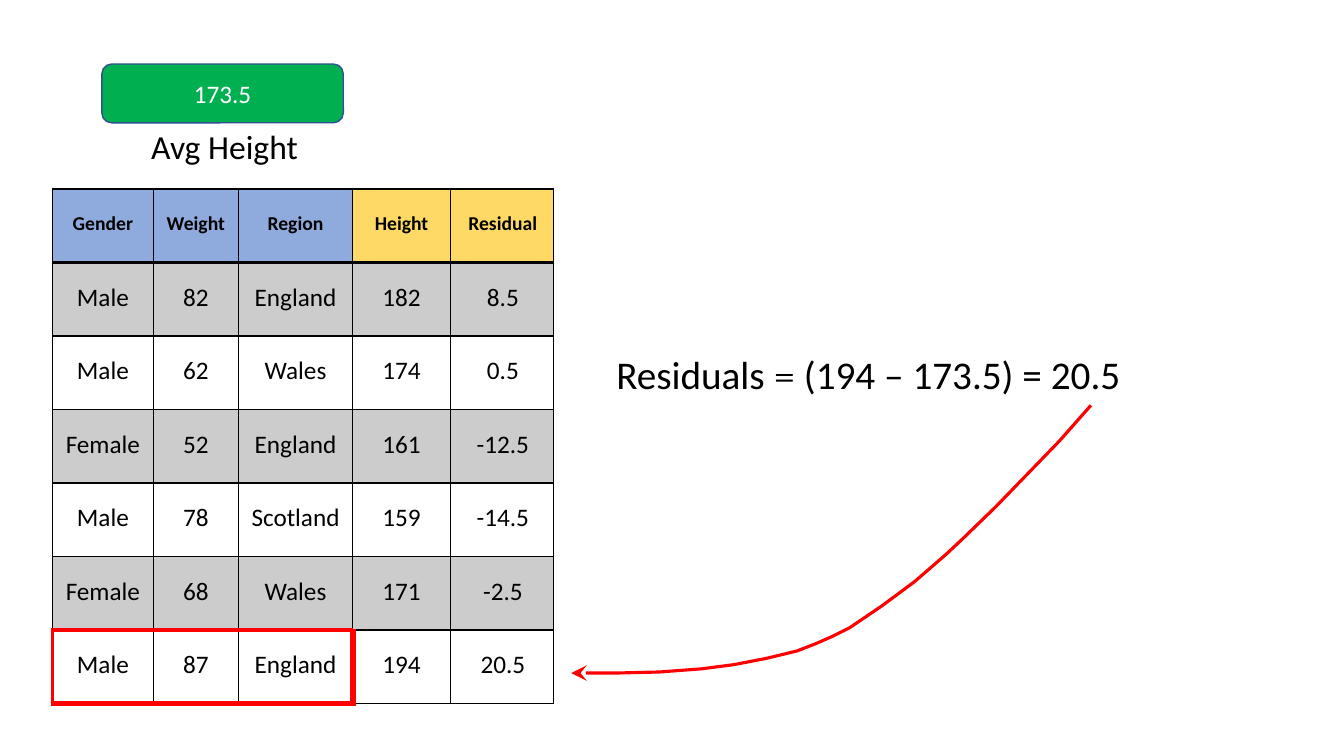
from typing import Any, NamedTuple

from lxml.etree import SubElement
from pptx import Presentation
from pptx.dml.color import RGBColor
from pptx.enum.shapes import MSO_SHAPE
from pptx.enum.text import MSO_ANCHOR, MSO_AUTO_SIZE, PP_ALIGN
from pptx.oxml.ns import qn
from pptx.util import Pt

EMU_PER_PX = 9525
BLACK, WHITE, RED = "000000", "FFFFFF", "FF0000"
BLUE, YELLOW, GREEN, NAVY = "8FAADC", "FFD966", "00AF50", "2E528F"


class Box(NamedTuple):
    left: int
    top: int
    width: int
    height: int


class Run(NamedTuple):
    text: str
    size: float
    color: str = BLACK
    font: str = "Calibri"
    bold: bool = False


class Border(NamedTuple):
    color: str = BLACK
    width: float = 1


class Column(NamedTuple):
    name: str
    width: int
    header_fill: str
    indent: int = 0


COLUMNS = [
    Column("Gender", 96, BLUE),
    Column("Weight", 81, BLUE),
    Column("Region", 109, BLUE),
    Column("Height", 93, YELLOW),
    Column("Residual", 98, YELLOW, 2),
]
PEOPLE = [
    ("Male", "82", "England", "182", "8.5"),
    ("Male", "62", "Wales", "174", "0.5"),
    ("Female", "52", "England", "161", "-12.5"),
    ("Male", "78", "Scotland", "159", "-14.5"),
    ("Female", "68", "Wales", "171", "-2.5"),
    ("Male", "87", "England", "194", "20.5"),
]
ROW_HEIGHT = 70
LAST_ROW = len(PEOPLE)
FEATURE_COUNT = 3
RESIDUAL_RUNS = [
    Run("Residuals ", 28),
    Run("= ", 28, font="Cambria"),
    Run("(194 – 173.5) = 20.5", 28),
]
ARROW_POINTS = [
    (1039, 386), (1009, 420), (978, 452), (948, 483), (917, 513), (901, 528),
    (871, 554), (840, 577), (809, 598), (793, 606), (777, 613), (759, 620),
    (730, 627), (699, 633), (668, 637), (628, 640), (586, 641), (544, 641),
]
LABEL_FORMAT = {
    "word_wrap": True,
    "auto_size": MSO_AUTO_SIZE.NONE,
    "vertical_anchor": MSO_ANCHOR.TOP,
    "margin_left": EMU_PER_PX,
    "margin_top": EMU_PER_PX,
    "margin_right": 0,
    "margin_bottom": 0,
}


def px(length: int) -> int:
    return length * EMU_PER_PX


def emu(box: Box) -> list[int]:
    return [px(length) for length in box]


def rgb(color: str) -> RGBColor:
    return RGBColor.from_string(color)


def apply_format(target: Any, values: dict[str, Any]) -> None:
    for name, value in values.items():
        setattr(target, name, value)


def write(text_frame: Any, runs: list[Run], alignment: PP_ALIGN) -> None:
    paragraph = text_frame.paragraphs[0]
    paragraph.alignment = alignment
    for item in runs:
        run = paragraph.add_run()
        run.text = item.text
        apply_format(run.font, {"name": item.font, "size": Pt(item.size), "bold": item.bold})
        run.font.color.rgb = rgb(item.color)


def place_label(shape: Any, box: Box, runs: list[Run]) -> None:
    apply_format(shape, dict(zip(box._fields, emu(box))))
    apply_format(shape.text_frame, LABEL_FORMAT)
    write(shape.text_frame, runs, PP_ALIGN.LEFT)


def horizontal_border(edge: int, column: int) -> Border:
    if edge == 1:
        return Border(width=2.25)
    if edge >= LAST_ROW and column < FEATURE_COUNT:
        return Border(RED, 3 if edge == LAST_ROW else 4.5)
    return Border()


def vertical_border(row: int, edge: int) -> Border:
    if row == LAST_ROW and edge in (0, FEATURE_COUNT):
        return Border(RED, 4.5 if edge else 3)
    return Border()


def add_borders(cell: Any, row: int, column: int) -> None:
    borders = {
        "a:lnL": vertical_border(row, column),
        "a:lnR": vertical_border(row, column + 1),
        "a:lnT": horizontal_border(row, column),
        "a:lnB": horizontal_border(row + 1, column),
    }
    properties = cell._tc.get_or_add_tcPr()
    for position, (tag, border) in enumerate(borders.items()):
        line = SubElement(properties, qn(tag), w=str(Pt(border.width)))
        fill = SubElement(line, qn("a:solidFill"))
        SubElement(fill, qn("a:srgbClr"), val=border.color)
        properties.insert(position, line)


def fill_cell(cell: Any, row: int, column: Column) -> None:
    """Blue or yellow headers, then alternate rows shaded with 20% black."""
    if row and row % 2 == 0:
        cell.fill.background()
        return
    cell.fill.solid()
    cell.fill.fore_color.rgb = rgb(BLACK if row else column.header_fill)
    if row:
        color = cell._tc.tcPr.find(".//" + qn("a:srgbClr"))
        SubElement(color, qn("a:alpha"), val="20000")


def add_people_table(slide: Any) -> None:
    rows = [tuple(column.name for column in COLUMNS), *PEOPLE]
    width = sum(column.width for column in COLUMNS)
    box = Box(50, 180, width, ROW_HEIGHT * len(rows))
    table = slide.shapes.add_table(len(rows), len(COLUMNS), *emu(box)).table
    apply_format(table, {"first_row": False, "horz_banding": False})
    for table_column, column in zip(table.columns, COLUMNS):
        table_column.width = px(column.width)
    for row, values in enumerate(rows):
        table.rows[row].height = px(ROW_HEIGHT)
        for index, (column, text) in enumerate(zip(COLUMNS, values)):
            cell = table.cell(row, index)
            apply_format(cell, {
                "margin_left": px(column.indent),
                "margin_right": 0,
                "margin_top": px(19 if row else 22),
                "margin_bottom": 0,
                "vertical_anchor": MSO_ANCHOR.TOP,
            })
            run = Run(text, 18) if row else Run(text, 14, bold=True)
            write(cell.text_frame, [run], PP_ALIGN.CENTER)
            fill_cell(cell, row, column)
            add_borders(cell, row, index)


def add_average_badge(slide: Any) -> None:
    badge = slide.shapes.add_shape(MSO_SHAPE.ROUNDED_RECTANGLE, *emu(Box(97, 61, 230, 56)))
    badge.shadow.inherit = False
    badge.fill.solid()
    badge.fill.fore_color.rgb = rgb(GREEN)
    badge.line.color.rgb = rgb(NAVY)
    badge.line.width = Pt(1)
    badge.text_frame.vertical_anchor = MSO_ANCHOR.MIDDLE
    write(badge.text_frame, [Run("173.5", 18, WHITE)], PP_ALIGN.CENTER)


def add_curved_arrow(slide: Any) -> None:
    start, *rest = ARROW_POINTS
    builder = slide.shapes.build_freeform(*start, scale=EMU_PER_PX)
    builder.add_line_segments(rest, close=False)
    arrow = builder.convert_to_shape()
    arrow.shadow.inherit = False
    arrow.fill.background()
    arrow.line.color.rgb = rgb(RED)
    arrow.line.width = Pt(2.25)
    line = arrow.line._get_or_add_ln()
    SubElement(line, qn("a:round"))
    SubElement(line, qn("a:tailEnd"), type="stealth", w="lg", len="lg")


def main() -> None:
    presentation = Presentation()
    presentation.slide_width, presentation.slide_height = px(1280), px(720)
    slide = presentation.slides.add_slide(presentation.slide_layouts[5])
    add_people_table(slide)
    add_average_badge(slide)
    residual_box = Box(586, 333, 492, 47)
    place_label(slide.shapes.add_textbox(*emu(residual_box)), residual_box, RESIDUAL_RUNS)
    place_label(slide.shapes.title, Box(143, 119, 142, 41), [Run("Avg Height", 24)])
    add_curved_arrow(slide)
    presentation.save("out.pptx")


if __name__ == "__main__":
    main()
